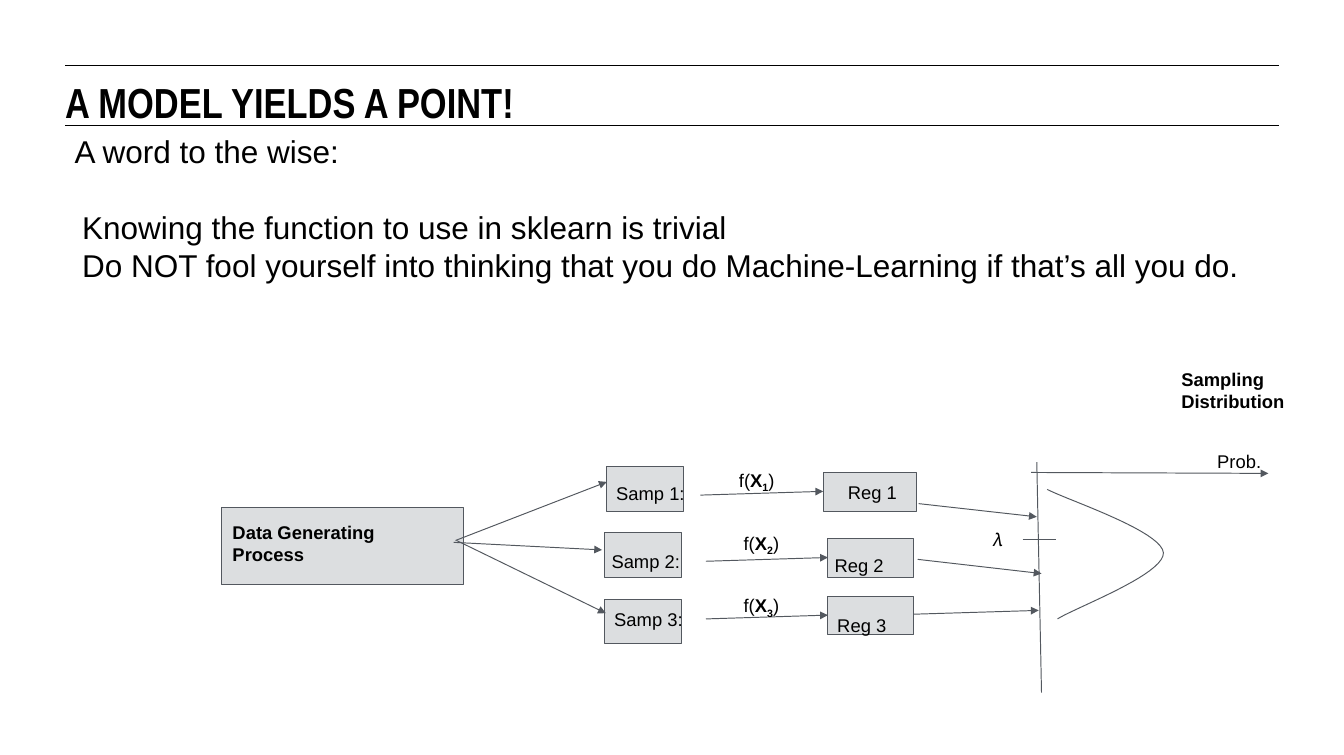
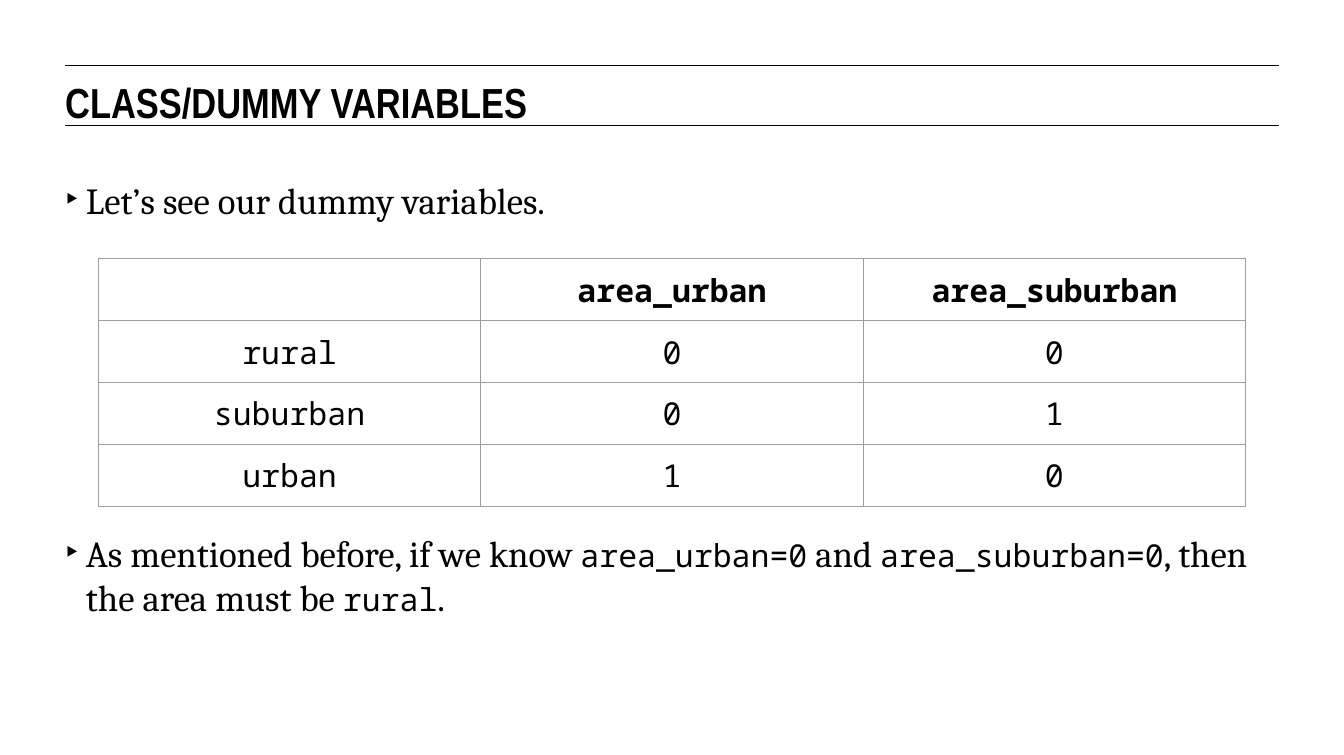
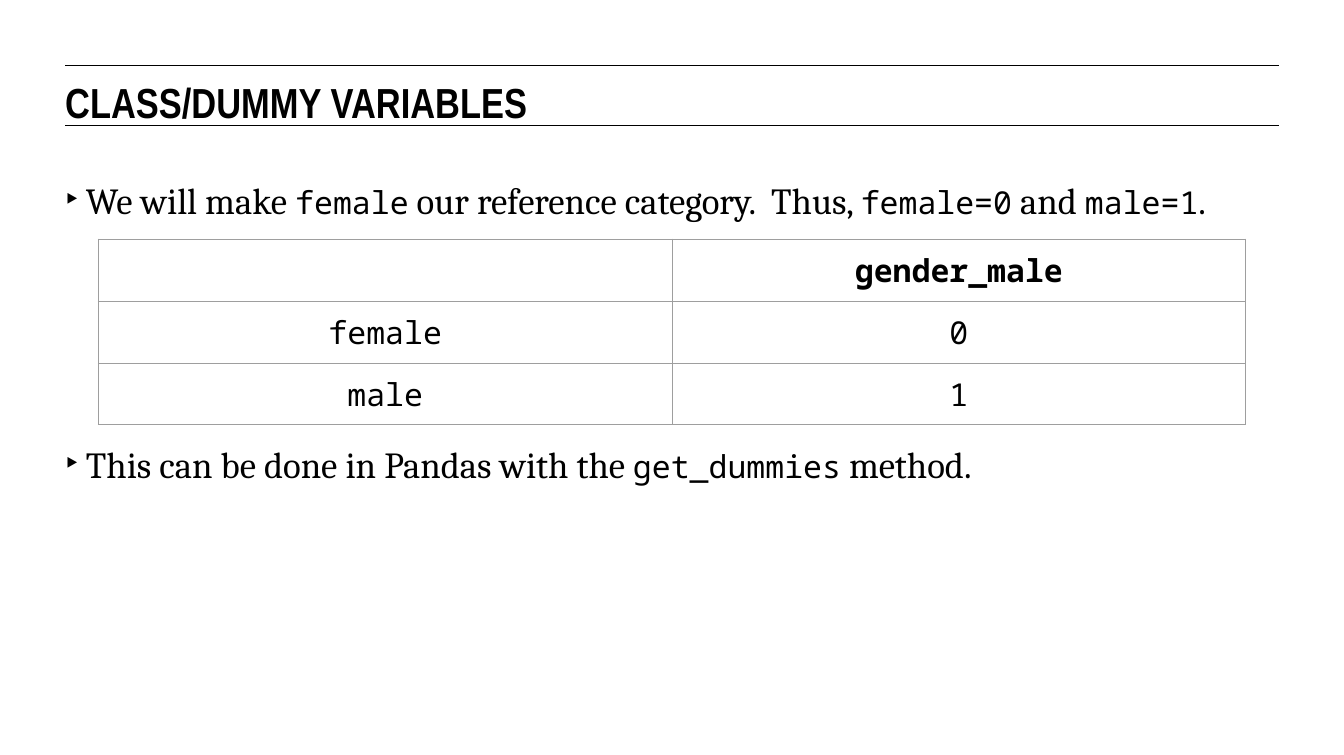
from lxml.etree import SubElement
from pptx import Presentation
from pptx.dml.color import RGBColor
from pptx.enum.shapes import MSO_CONNECTOR, MSO_SHAPE
from pptx.enum.text import MSO_ANCHOR, MSO_AUTO_SIZE, PP_ALIGN
from pptx.oxml.ns import qn
from pptx.util import Inches, Pt

WIDE, HIGH = 14.22, 7.99
HUES = {"ink": "000000", "line": "53585F", "fill": "DCDEE0", "grid": "9E9E9E"}
SANS, HEAD, BODY, MONO = "Arial", "Arial Narrow", "Cambria", "Noto Sans Mono"
LEFT, RIGHT = 0.69, 13.53
RULES = (0.69, 1.33)
PITCH = 33.6  # points per body line

# Content of the model slide
ADVICE = [
    ("A word to the wise:", 0, 0),
    ("Knowing the function to use in sklearn is trivial", 0.08, 29),
    ("Do NOT fool yourself into thinking that you do Machine-Learning "
     "if that’s all you do.", 0.08, 0),
]
# Boxes: text, (left, top, width, height), (left, top, right inset), wrap, bold
BOXES = [
    ("Data Generating Process", (2.34, 5.37, 2.56, 0.82), (0.12, 0.14, 0.3), True, True),
    ("Samp 1:", (6.42, 4.94, 0.81, 0.47), (0.1, 0.16, 0), False, False),
    ("Samp 2:", (6.4, 5.64, 0.81, 0.47), (0.07, 0.18, 0), False, False),
    ("Samp 3:", (6.4, 6.34, 0.81, 0.47), (0.1, 0.1, 0), False, False),
    ("Reg 1", (8.71, 5, 0.99, 0.41), (0.26, 0.09, 0), True, False),
    ("Reg 2", (8.76, 5.7, 0.91, 0.41), (0.07, 0.16, 0), True, False),
    ("Reg 3", (8.76, 6.31, 0.91, 0.41), (0.1, 0.19, 0), True, False),
]
ARROWS = [
    (4.82, 5.72, 6.42, 5.1), (4.8, 5.74, 6.37, 5.82), (4.83, 5.72, 6.41, 6.49),
    (7.41, 5.24, 8.71, 5.2), (7.47, 5.94, 8.76, 5.9), (7.47, 6.55, 8.76, 6.51),
    (9.72, 5.33, 10.97, 5.47), (9.71, 5.92, 11.02, 6.07), (9.67, 6.5, 10.99, 6.46),
    (10.91, 5, 13.42, 5.01),
]
AXES = [(10.97, 4.89, 11.02, 7.33), (10.82, 5.71, 11.17, 5.71)]
CURVE = [
    ((11.08, 5.18), (11.29, 5.29), (12.29, 5.62), (12.31, 5.85)),
    ((12.31, 5.85), (12.32, 6.08), (11.38, 6.43), (11.19, 6.55)),
]
LABELS = [
    ("Prob.", (12.78, 4.66, 0.81, 0.41), False),
    ("Sampling Distribution", (12.4, 3.8, 1.58, 0.65), True),
    ("𝜆", (10.4, 5.49, 0.35, 0.41), False),
]
MODELS = [(7.72, 4.86), (7.77, 5.53), (7.77, 6.19)]

# Content of the table slides; every second part of a bullet is code
TABLES = [
    {
        "title": "CLASS/DUMMY VARIABLES", "top": 2.74, "gap": 7,
        "rows": [["", "area_urban", "area_suburban"], ["rural", "0", "0"],
                 ["suburban", "0", "1"], ["urban", "1", "0"]],
        "points": [
            ["Let’s see our dummy variables."],
            ["As mentioned before, if we know ", "area_urban=0", " and ",
             "area_suburban=0", ", then the area must be ", "rural", "."],
        ],
    },
    {
        "title": "CLASS/DUMMY VARIABLES", "top": 2.53, "gap": 5,
        "rows": [["", "gender_male"], ["female", "0"], ["male", "1"]],
        "points": [
            ["We will make ", "female", " our reference category.  Thus, ",
             "female=0", " and ", "male=1", "."],
            ["This can be done in Pandas with the ", "get_dummies", " method."],
        ],
    },
]


def hue(name):
    return RGBColor.from_string(HUES[name])


def style(run, font, size, bold=False):
    run.font.name, run.font.size, run.font.bold = font, Pt(size), bold
    run.font.color.rgb = hue("ink")


def setup(frame, pads, wrap=True):
    frame.word_wrap = wrap
    frame.auto_size = MSO_AUTO_SIZE.NONE
    frame.vertical_anchor = MSO_ANCHOR.TOP
    sides = ("left", "top", "right", "bottom")
    for side, pad in zip(sides, pads):
        setattr(frame, "margin_" + side, Inches(pad))


def text_box(slide, box, pad=0.1):
    frame = slide.shapes.add_textbox(*map(Inches, box)).text_frame
    setup(frame, [pad] * 4)
    return frame


def add_line(slide, ends, color="line", arrow=False):
    line = slide.shapes.add_connector(MSO_CONNECTOR.STRAIGHT, *map(Inches, ends))
    line.line.color.rgb = hue(color)
    line.line.width = Pt(0.75)
    props = line._element.spPr
    if arrow:
        SubElement(props.find(qn("a:ln")), qn("a:tailEnd"), type="triangle")
    SubElement(props, qn("a:effectLst"))


def add_page(deck, title):
    slide = deck.slides.add_slide(deck.slide_layouts[5])
    for top in RULES:
        add_line(slide, (LEFT, top, RIGHT, top), "ink")
    head = slide.shapes.title
    head.left, head.top = Inches(LEFT), Inches(0.81)
    head.width, head.height = Inches(RIGHT - LEFT), Inches(0.47)
    setup(head.text_frame, [0] * 4)
    head.text_frame.text = title
    para = head.text_frame.paragraphs[0]
    para.alignment = PP_ALIGN.LEFT
    style(para.runs[0], HEAD, 32, True)
    return slide


def add_node(slide, text, box, pads, wrap, bold):
    node = slide.shapes.add_shape(MSO_SHAPE.RECTANGLE, *map(Inches, box))
    node.shadow.inherit = False
    node.fill.solid()
    node.fill.fore_color.rgb = hue("fill")
    node.line.color.rgb = hue("line")
    node.line.width = Pt(0.75)
    setup(node.text_frame, (*pads, 0), wrap)
    node.text_frame.text = text
    para = node.text_frame.paragraphs[0]
    para.alignment = PP_ALIGN.LEFT
    style(para.runs[0], SANS, 14, bold)


def add_curve(slide, steps=20):
    dots = []
    for a, b, c, d in CURVE:
        for step in range(steps + 1):
            t = step / steps
            u = 1 - t
            mix = (u ** 3, 3 * u * u * t, 3 * u * t * t, t ** 3)
            dots.append(tuple(
                Inches(sum(m * p[i] for m, p in zip(mix, (a, b, c, d))))
                for i in (0, 1)))
    form = slide.shapes.build_freeform(*dots[0])
    form.add_line_segments(dots[1:], close=False)
    bell = form.convert_to_shape()
    bell.shadow.inherit = False
    bell.fill.background()
    bell.line.color.rgb = hue("line")
    bell.line.width = Pt(0.75)


def model_page(deck):
    slide = add_page(deck, "A MODEL YIELDS A POINT!")
    frame = text_box(slide, (LEFT, 1.3, 13.42, 2.85))
    frame.text = "\n".join(text for text, _, _ in ADVICE)
    for para, (_, inset, gap) in zip(frame.paragraphs, ADVICE):
        para._p.get_or_add_pPr().set("marL", str(Inches(inset)))
        para.space_before = Pt(gap)
        style(para.runs[0], SANS, 24)
    # Diagram
    for node in BOXES:
        add_node(slide, *node)
    for ends in ARROWS:
        add_line(slide, ends, arrow=True)
    for ends in AXES:
        add_line(slide, ends)
    add_curve(slide)
    for text, box, bold in LABELS:
        frame = text_box(slide, box)
        frame.text = text
        style(frame.paragraphs[0].runs[0], SANS, 14, bold)
    for num, (left, top) in enumerate(MODELS, 1):
        para = text_box(slide, (left, top, 0.8, 0.41)).paragraphs[0]
        for text, bold in (("f(", False), ("X", True), (str(num), True), (")", False)):
            run = para.add_run()
            run.text = text
            style(run, SANS, 14, bold)
            if text.isdigit():
                run.font._element.set("baseline", "-25000")


def add_points(slide, points, gap):
    frame = text_box(slide, (LEFT, 1.88, RIGHT - LEFT, 4.6), 0)
    for num, parts in enumerate(points):
        para = frame.add_paragraph() if num else frame.paragraphs[0]
        para.space_before = Pt(gap * PITCH * num)
        props = para._p.get_or_add_pPr()
        props.set("marL", str(Inches(0.22)))
        props.set("indent", str(Inches(-0.22)))
        SubElement(props, qn("a:buFont"), typeface=SANS)
        SubElement(props, qn("a:buChar"), char="‣")
        for spot, text in enumerate(parts):
            run = para.add_run()
            run.text = text
            style(run, *((MONO, 24) if spot % 2 else (BODY, 28)))


def add_edges(cell):
    props = cell._tc.get_or_add_tcPr()
    for spot, side in enumerate(("lnL", "lnR", "lnT", "lnB")):
        edge = props.makeelement(qn("a:" + side), {"w": str(Pt(0.75))})
        fill = SubElement(edge, qn("a:solidFill"))
        SubElement(fill, qn("a:srgbClr"), val=HUES["grid"])
        props.insert(spot, edge)


def add_grid(slide, rows, top, wide=12.14, high=0.65):
    cols = len(rows[0])
    table = slide.shapes.add_table(
        len(rows), cols, Inches(1.04), Inches(top),
        Inches(wide), Inches(high * len(rows))).table
    table.first_row = table.horz_banding = False
    for r, row in enumerate(rows):
        for c, text in enumerate(row):
            cell = table.cell(r, c)
            cell.fill.background()
            cell.margin_left = cell.margin_right = Inches(0.1)
            cell.margin_top = cell.margin_bottom = Inches(0.1)
            add_edges(cell)
            cell.text_frame.text = text
            para = cell.text_frame.paragraphs[0]
            para.alignment = PP_ALIGN.CENTER
            for run in para.runs:
                style(run, MONO, 24, r == 0)


def main():
    deck = Presentation()
    deck.slide_width, deck.slide_height = Inches(WIDE), Inches(HIGH)
    model_page(deck)
    for page in TABLES:
        slide = add_page(deck, page["title"])
        add_points(slide, page["points"], page["gap"])
        add_grid(slide, page["rows"], page["top"])
    deck.save("out.pptx")


if __name__ == "__main__":
    main()
